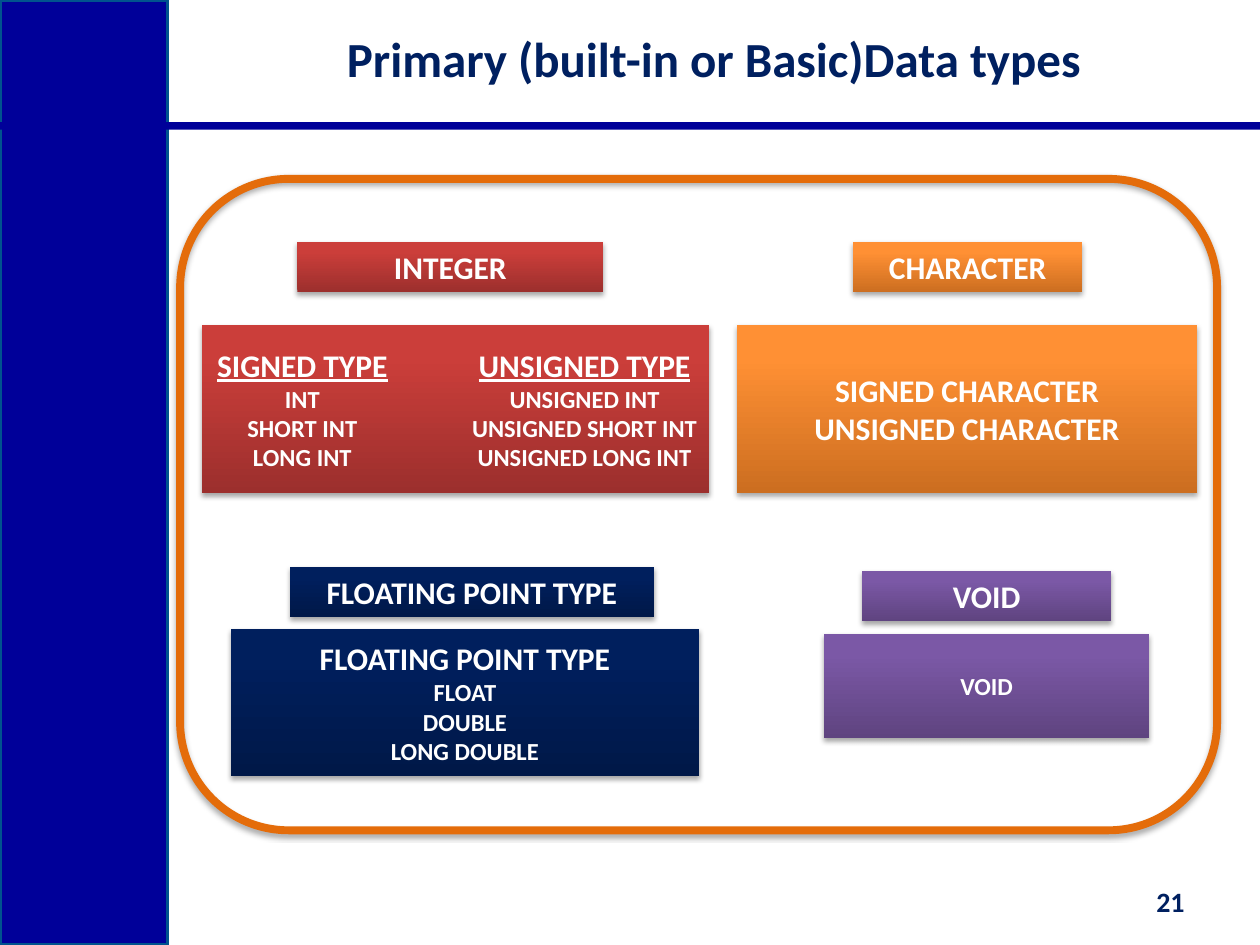
import pptx
import pptx.util
import pptx.dml.color
import pptx.enum.shapes
import pptx.enum.text
import pptx.oxml.ns
from lxml import etree

Inches, Pt = pptx.util.Inches, pptx.util.Pt
SHAPE = pptx.enum.shapes.MSO_SHAPE
ALIGN = pptx.enum.text.PP_ALIGN
MIDDLE = pptx.enum.text.MSO_ANCHOR.MIDDLE
qn = pptx.oxml.ns.qn

COLORS = {"navy": "000099", "edge": "00538E", "text": "002060",
          "white": "FFFFFF", "frame": "E46C0A"}
# Gradients run from the bottom colour to the top colour
GRADIENTS = {
    "red": ("9C2F2D", "CB3E3A"),
    "orange": ("CC6E20", "FF9034"),
    "blue": ("001848", "001F5D"),
    "purple": ("5F4480", "7B58A6"),
}
HEADING, ITEM = 18, 14
FONT = "Calibri"
TITLE = "Primary (built-in or Basic)Data types"
PAGE_NUMBER = "21"

# (position, gradient, lines of (text, size))
BOXES = [
    ((5.85, 2.58, 3.65, 1.33), "orange",
     [("SIGNED CHARACTER", HEADING), ("UNSIGNED CHARACTER", HEADING)]),
    ((1.83, 4.99, 3.72, 1.17), "blue",
     [("FLOATING POINT TYPE", HEADING), ("FLOAT", ITEM),
      ("DOUBLE", ITEM), ("LONG DOUBLE", ITEM)]),
    ((2.36, 1.92, 2.43, 0.4), "red", [("INTEGER", HEADING)]),
    ((6.77, 1.92, 1.82, 0.4), "orange", [("CHARACTER", HEADING)]),
    ((2.3, 4.5, 2.89, 0.4), "blue", [("FLOATING POINT TYPE", HEADING)]),
    ((6.54, 5.03, 2.58, 0.83), "purple", [("VOID", ITEM)]),
    ((6.84, 4.53, 1.98, 0.4), "purple", [("VOID", HEADING)]),
]
INTEGER_BOX = (1.6, 2.58, 4.03, 1.33)
INTEGER_COLUMNS = (0.8, 3.04)
INTEGER_ROWS = [
    ("SIGNED TYPE", "UNSIGNED TYPE"),
    ("INT", "UNSIGNED INT"),
    ("SHORT INT", "UNSIGNED SHORT INT"),
    ("LONG INT", "UNSIGNED LONG INT"),
]


def rgb(name):
    return pptx.dml.color.RGBColor.from_string(COLORS.get(name, name))


def add_run(para, text, size, color="white", underline=None):
    span = para.add_run()
    span.text = text
    span.font.name = FONT
    span.font.size = Pt(size)
    span.font.bold = True
    span.font.underline = underline
    span.font.color.rgb = rgb(color)


def add_shape(slide, kind, position):
    shape = slide.shapes.add_shape(kind, *map(Inches, position))
    shape.shadow.inherit = False
    shape.line.fill.background()
    return shape


def add_shadow(shape):
    effects = shape._element.spPr.find(qn("a:effectLst"))
    shadow = etree.SubElement(effects, qn("a:outerShdw"), blurRad=str(Pt(3.1)),
                              dist=str(Pt(1.8)), dir="5400000", rotWithShape="0")
    color = etree.SubElement(shadow, qn("a:srgbClr"), val="000000")
    etree.SubElement(color, qn("a:alpha"), val="35000")


def add_box(slide, position, gradient):
    """Add a gradient rectangle and return its empty text frame."""
    box = add_shape(slide, SHAPE.RECTANGLE, position)
    box.fill.gradient()
    box.fill.gradient_angle = 90
    stops = box.fill.gradient_stops
    for stop, place, color in zip(stops, (0, 0.8), GRADIENTS[gradient]):
        stop.position = place
        stop.color.rgb = rgb(color)
    add_shadow(box)
    frame = box.text_frame
    frame.word_wrap = True
    frame.vertical_anchor = MIDDLE
    frame.margin_left = frame.margin_right = 0
    return frame


def next_paragraph(frame, index, align):
    para = frame.paragraphs[0] if index == 0 else frame.add_paragraph()
    para.alignment = align
    return para


def add_integer_box(slide):
    """Add the two-column box, its columns centred on tab stops."""
    frame = add_box(slide, INTEGER_BOX, "red")
    for index, row in enumerate(INTEGER_ROWS):
        para = next_paragraph(frame, index, ALIGN.LEFT)
        tabs = etree.SubElement(para._p.get_or_add_pPr(), qn("a:tabLst"))
        for column in INTEGER_COLUMNS:
            etree.SubElement(tabs, qn("a:tab"), pos=str(Inches(column)), algn="ctr")
        size = HEADING if index == 0 else ITEM
        for text in row:
            add_run(para, "\t", size)
            add_run(para, text, size, underline=index == 0)


def main():
    deck = pptx.Presentation()
    deck.slide_width, deck.slide_height = Inches(10), Inches(7.5)
    slide = deck.slides.add_slide(deck.slide_layouts[5])

    sidebar = add_shape(slide, SHAPE.RECTANGLE, (0, 0, 1.33, 7.5))
    sidebar.line.color.rgb = rgb("edge")
    sidebar.line.width = Pt(2)
    rule = add_shape(slide, SHAPE.RECTANGLE, (0, 0.97, 10, 0.06))
    for band in (sidebar, rule):
        band.fill.solid()
        band.fill.fore_color.rgb = rgb("navy")

    title = slide.shapes.title
    title.left, title.top, title.width, title.height = map(Inches, (1.33, 0, 8.67, 0.92))
    number = slide.shapes.add_textbox(*map(Inches, (8.75, 6.95, 0.75, 0.4)))
    for holder, text, size, align in ((title, TITLE, 28, ALIGN.CENTER),
                                      (number, PAGE_NUMBER, 16, ALIGN.RIGHT)):
        frame = holder.text_frame
        frame.word_wrap = True
        frame.vertical_anchor = MIDDLE
        add_run(next_paragraph(frame, 0, align), text, size, "text")

    add_integer_box(slide)
    for position, gradient, lines in BOXES:
        frame = add_box(slide, position, gradient)
        for index, (text, size) in enumerate(lines):
            add_run(next_paragraph(frame, index, ALIGN.CENTER), text, size)

    outline = add_shape(slide, SHAPE.ROUNDED_RECTANGLE, (1.43, 1.42, 8.23, 5.17))
    outline.fill.background()
    outline.line.color.rgb = rgb("frame")
    outline.line.width = Pt(4.5)
    add_shadow(outline)

    deck.save("out.pptx")


if __name__ == "__main__":
    main()
